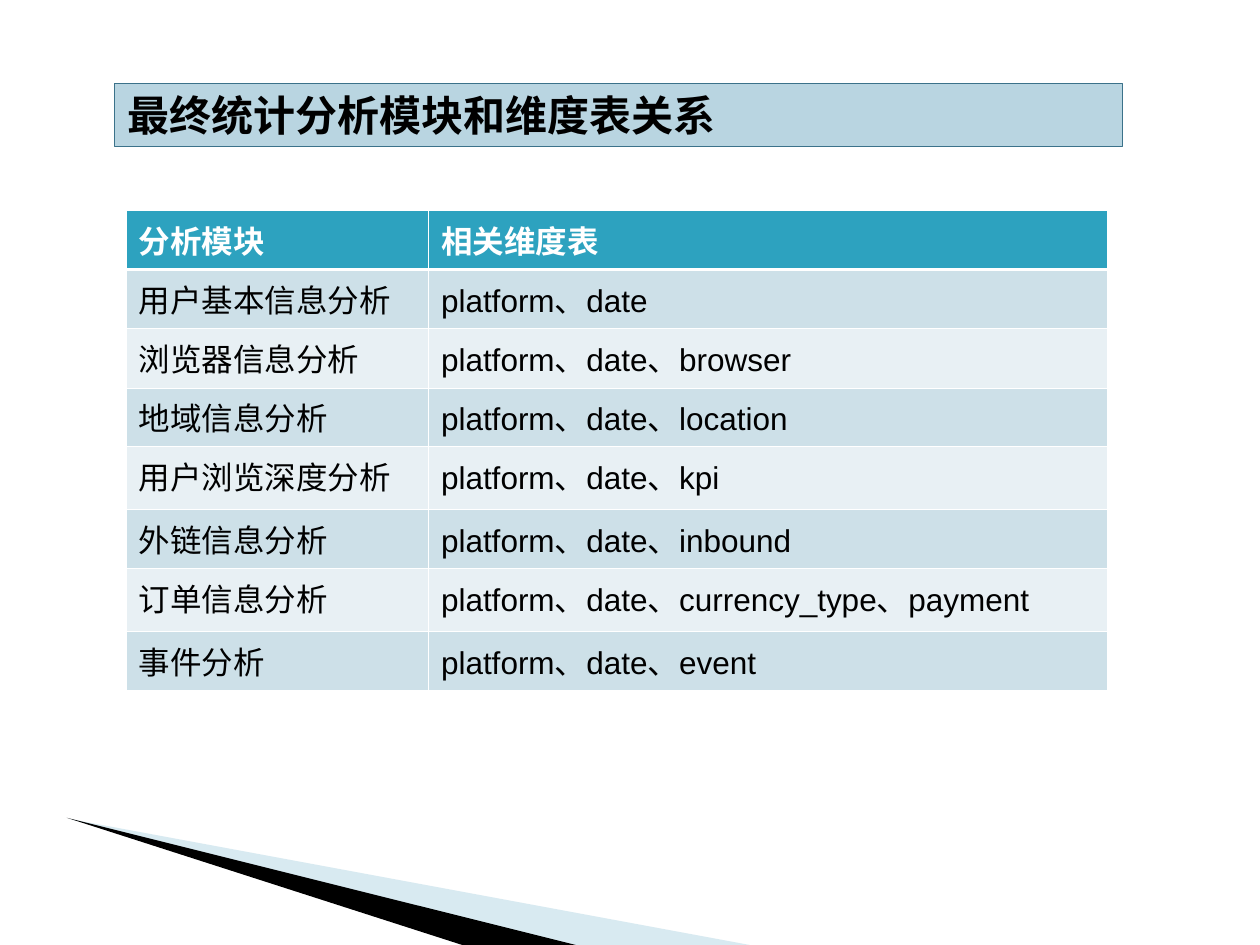
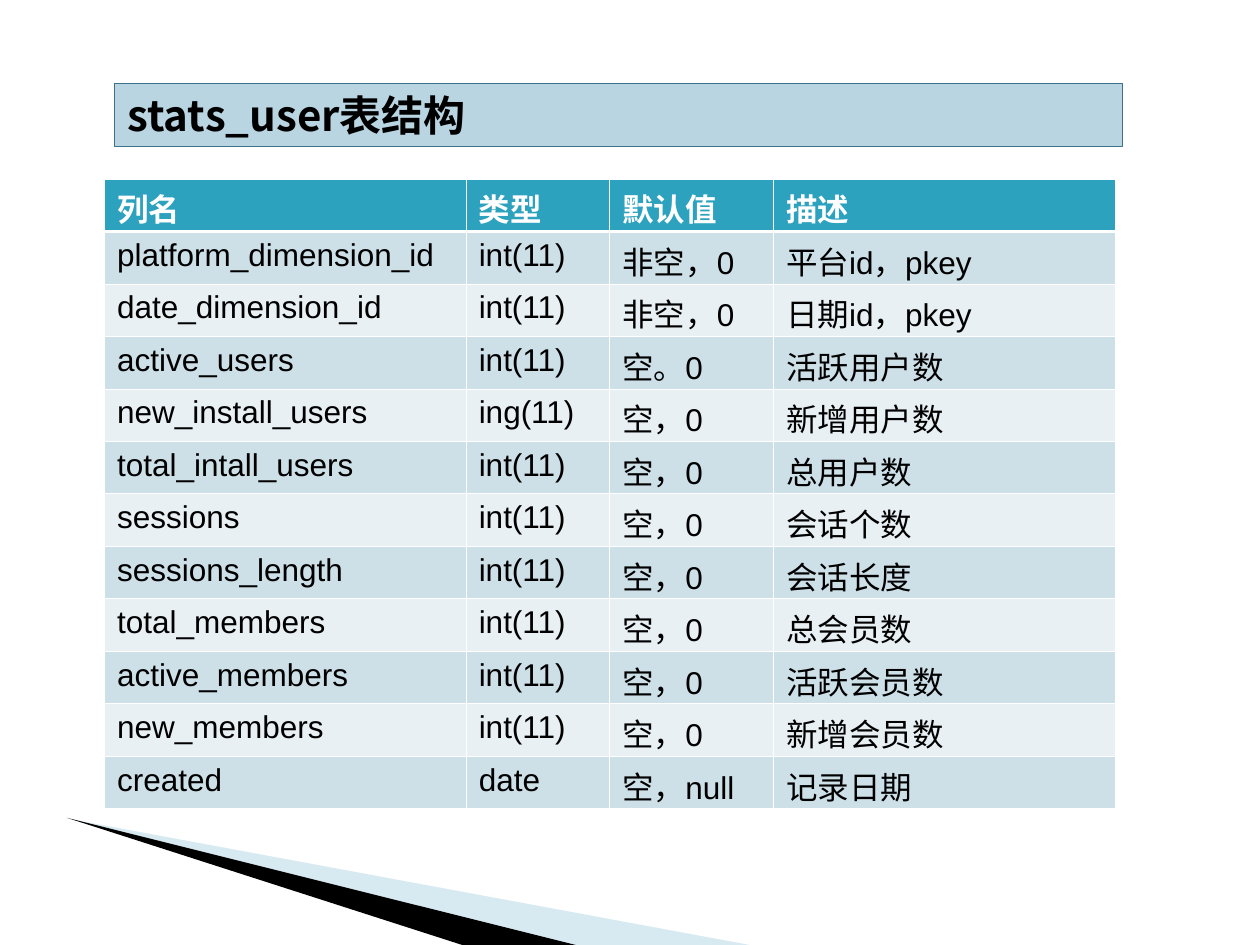
import lxml.etree
import pptx
import pptx.dml.color
import pptx.enum.text
import pptx.oxml
import pptx.oxml.ns
import pptx.util

Inches = pptx.util.Inches
Pt = pptx.util.Pt
qn = pptx.oxml.ns.qn

COLORS = {
    "black": "000000",
    "white": "FFFFFF",
    "title_fill": "B9D5E1",
    "title_line": "3B728A",
    "header": "2DA2BF",
    "band_dark": "CDE0E8",
    "band_light": "E8F0F4",
    "wedge": "9FCBDC",
}
CJK_FONT = "Noto Sans CJK SC"
WIDTH, HEIGHT = 10, 7.5

MODULES = [
    ("分析模块", "相关维度表"),
    ("用户基本信息分析", "platform、date"),
    ("浏览器信息分析", "platform、date、browser"),
    ("地域信息分析", "platform、date、location"),
    ("用户浏览深度分析", "platform、date、kpi"),
    ("外链信息分析", "platform、date、inbound"),
    ("订单信息分析", "platform、date、currency_type、payment"),
    ("事件分析", "platform、date、event"),
]
USER_COLUMNS = [
    ("列名", "类型", "默认值", "描述"),
    ("platform_dimension_id", "int(11)", "非空，0", "平台id，pkey"),
    ("date_dimension_id", "int(11)", "非空，0", "日期id，pkey"),
    ("active_users", "int(11)", "空。0", "活跃用户数"),
    ("new_install_users", "ing(11)", "空，0", "新增用户数"),
    ("total_intall_users", "int(11)", "空，0", "总用户数"),
    ("sessions", "int(11)", "空，0", "会话个数"),
    ("sessions_length", "int(11)", "空，0", "会话长度"),
    ("total_members", "int(11)", "空，0", "总会员数"),
    ("active_members", "int(11)", "空，0", "活跃会员数"),
    ("new_members", "int(11)", "空，0", "新增会员数"),
    ("created", "date", "空，null", "记录日期"),
]
PAGES = [
    {"title": "最终统计分析模块和维度表关系", "rows": MODULES,
     "left": 1, "top": 1.67, "widths": [2.4, 5.39], "bottom_inset": 0.05,
     "heights": [0.47, 0.47, 0.47, 0.45, 0.5, 0.47, 0.5, 0.47]},
    {"title": "stats_user表结构", "rows": USER_COLUMNS,
     "left": 0.83, "top": 1.42, "widths": [2.87, 1.14, 1.3, 2.71], "bottom_inset": 0,
     "heights": [5 / len(USER_COLUMNS)] * len(USER_COLUMNS)},
]
# Corner wedges: colour, opacity in percent, outline in inches
WEDGES = [
    ("wedge", 40, [(0.55, 6.5), (5.95, HEIGHT), (4.56, HEIGHT)]),
    ("black", 100, [(0.53, 6.49), (4.57, HEIGHT), (3.67, HEIGHT)]),
]


def color(name):
    return pptx.dml.color.RGBColor.from_string(COLORS[name])


def format_text(para, size, latin, color_name, bold):
    font = para.font
    font.size, font.name, font.bold = Pt(size), latin, bold
    font.color.rgb = color(color_name)
    east_asian = lxml.etree.Element(qn("a:ea"), typeface=CJK_FONT)
    font._element.find(qn("a:latin")).addnext(east_asian)


deck = pptx.Presentation()
deck.slide_width, deck.slide_height = Inches(WIDTH), Inches(HEIGHT)
layout = deck.slide_layouts[5]
pages = [deck.slides.add_slide(layout) for _ in PAGES]

# The wedges are drawn on a page, then moved to the layout all pages share
for color_name, opacity, points in WEDGES:
    corners = [(Inches(x), Inches(y)) for x, y in points]
    builder = pages[0].shapes.build_freeform(*corners[0])
    builder.add_line_segments(corners[1:])
    wedge = builder.convert_to_shape()
    wedge.shadow.inherit = False
    wedge.line.fill.background()
    wedge.fill.solid()
    wedge.fill.fore_color.rgb = color(color_name)
    if opacity < 100:
        fill_color = wedge.element.spPr.find(".//" + qn("a:srgbClr"))
        lxml.etree.SubElement(fill_color, qn("a:alpha"), val=str(opacity * 1000))
    layout.shapes.element.append(wedge.element)

for page, content in zip(pages, PAGES):
    title = page.shapes.title
    title.left, title.top = Inches(0.91), Inches(0.66)
    title.width, title.height = Inches(8), Inches(0.5)
    title.fill.solid()
    title.fill.fore_color.rgb = color("title_fill")
    title.line.color.rgb = color("title_line")
    title.line.width = Pt(0.25)
    frame = title.text_frame
    frame.text = content["title"]
    frame.auto_size = pptx.enum.text.MSO_AUTO_SIZE.NONE
    frame.vertical_anchor = pptx.enum.text.MSO_ANCHOR.MIDDLE
    frame.paragraphs[0].alignment = pptx.enum.text.PP_ALIGN.LEFT
    format_text(frame.paragraphs[0], 24, CJK_FONT, "black", True)

    rows, widths, heights = content["rows"], content["widths"], content["heights"]
    table = page.shapes.add_table(
        len(rows), len(widths), Inches(content["left"]), Inches(content["top"]),
        Inches(sum(widths)), Inches(sum(heights))).table
    for column, width in zip(table.columns, widths):
        column.width = Inches(width)
    for row, height in zip(table.rows, heights):
        row.height = Inches(height)

    for row_index, texts in enumerate(rows):
        is_header = row_index == 0
        band = "header" if is_header else ("band_light", "band_dark")[row_index % 2]
        for column_index, text in enumerate(texts):
            cell = table.cell(row_index, column_index)
            cell.text = text
            cell.margin_bottom = Inches(content["bottom_inset"])
            format_text(cell.text_frame.paragraphs[0], 18, "Arial",
                        "white" if is_header else "black", is_header)
            cell.fill.solid()
            cell.fill.fore_color.rgb = color(band)
            properties = cell._tc.get_or_add_tcPr()
            for position, side in enumerate("LRTB"):
                under_header = (row_index, side) in [(0, "B"), (1, "T")]
                border = lxml.etree.Element(
                    qn("a:ln" + side), w=str(Pt(1.47 if under_header else 0.45)))
                line_fill = lxml.etree.SubElement(border, qn("a:solidFill"))
                lxml.etree.SubElement(line_fill, qn("a:srgbClr"), val=COLORS["white"])
                properties.insert(position, border)

deck.save("out.pptx")
